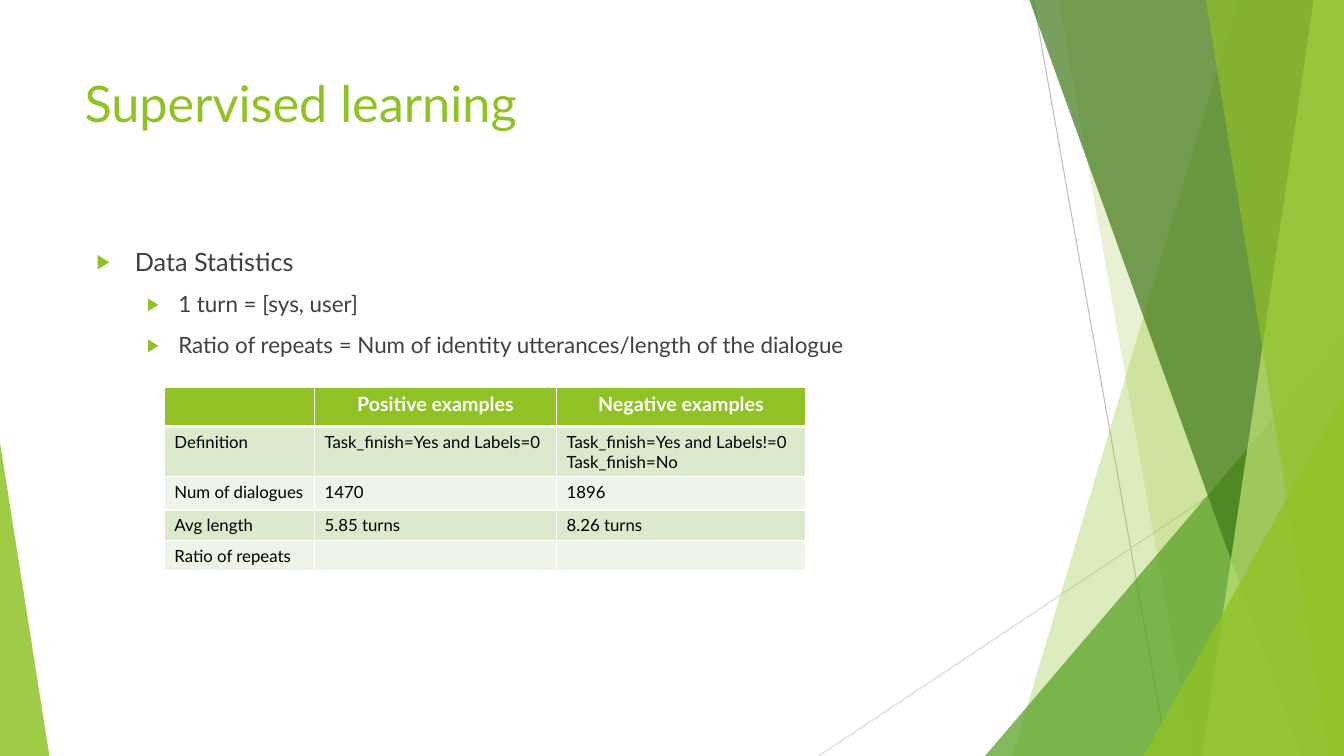
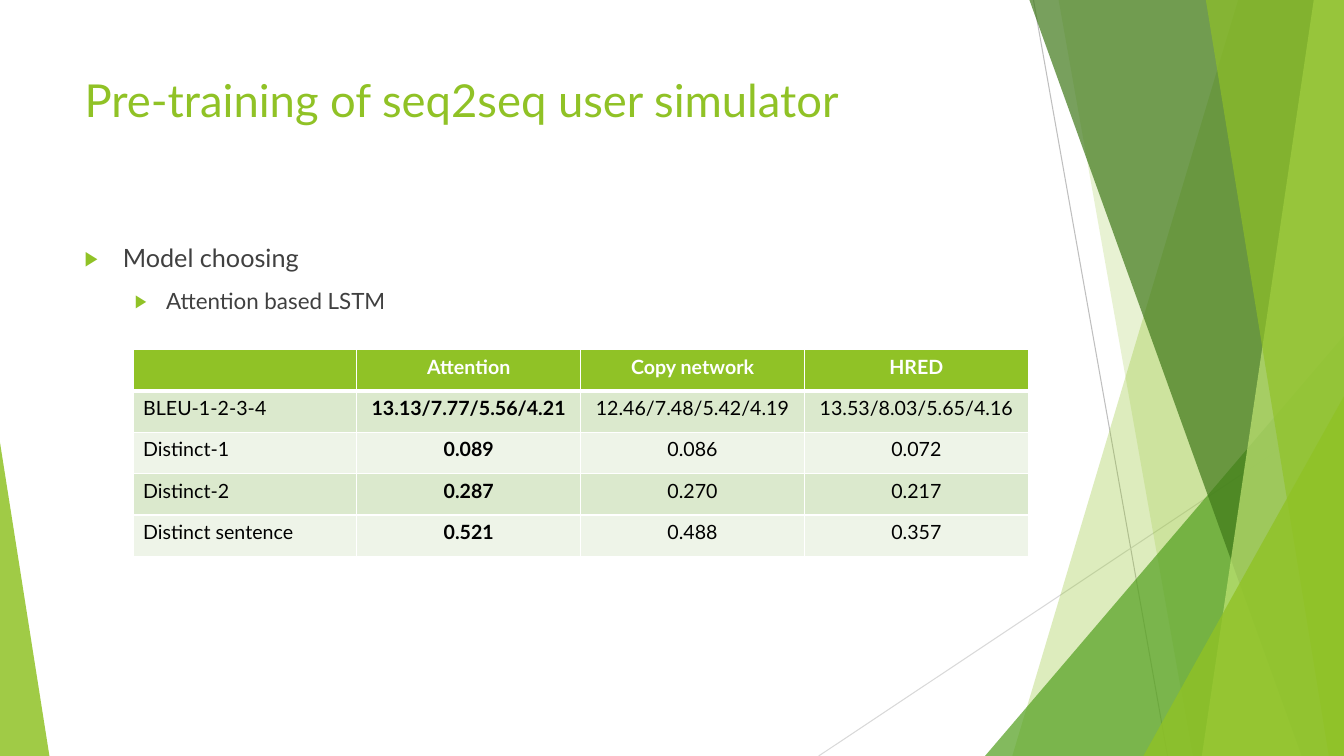
from lxml import etree
from pptx import Presentation, util as u
from pptx.dml.color import RGBColor
from pptx.enum import shapes, text
from pptx.oxml import ns

GREEN = RGBColor(0x90, 0xC2, 0x26)
MID_GREEN = RGBColor(0x54, 0xA0, 0x21)
DARK_GREEN = RGBColor(0x3F, 0x78, 0x19)
LIGHT_GREEN = RGBColor(0xC0, 0xE4, 0x74)
BAND_DARK = RGBColor(0xDB, 0xE9, 0xCD)
BAND_LIGHT = RGBColor(0xEE, 0xF4, 0xE8)
WHITE = RGBColor(0xFF, 0xFF, 0xFF)
BLACK = RGBColor(0, 0, 0)
BODY_GRAY = RGBColor(0x40, 0x40, 0x40)
STEEP_LINE = RGBColor(0xBF, 0xBF, 0xBF)
SHALLOW_LINE = RGBColor(0xD9, 0xD9, 0xD9)
FONT = "Lato"
WIDTH, HEIGHT = 13.33, 7.5


def add_xml(parent, tag, **attributes):
    """Append a DrawingML element and return it."""
    return etree.SubElement(parent, ns.qn(tag), {key: str(value) for key, value in attributes.items()})


class Deck:
    """Holds the presentation, its style and the current slide."""

    def __init__(self):
        """Open an empty widescreen presentation."""
        self.presentation = Presentation()
        self.presentation.slide_width = u.Inches(WIDTH)
        self.presentation.slide_height = u.Inches(HEIGHT)
        self.slide = None

    def new_slide(self, title, size):
        """Start a slide with the shared decoration and a title."""
        self.slide = self.presentation.slides.add_slide(self.presentation.slide_layouts[6])
        self.decoration()
        frame = self.text_box(0.74, 0.67, 9.4, 1.44)
        self.run(frame.paragraphs[0], title, size, GREEN)

    def decoration(self):
        """Draw the thin lines and the translucent green facets."""
        self.line(10.25, 0, 11.58, HEIGHT, STEEP_LINE)
        self.line(WIDTH, 4.03, 8.12, HEIGHT, SHALLOW_LINE)
        self.facet(12.28, 10.04, GREEN, 30)
        self.facet(10.5, 11.83, GREEN, 20)
        self.triangle(9.77, 3.33, 3.56, 1, MID_GREEN, 72)
        self.facet(10.21, 12.91, DARK_GREEN, 70)
        self.facet(13.03, 11.92, LIGHT_GREEN, 70)
        self.facet(11.96, 13.18, GREEN, 65)
        self.triangle(11.34, 3.93, 1.99, 1, GREEN, 80)
        self.triangle(0, 4.39, 0.49, 0, GREEN, 85)

    def line(self, x1, y1, x2, y2, color):
        """Draw a thin straight line."""
        points = [u.Inches(value) for value in (x1, y1, x2, y2)]
        connector = self.slide.shapes.add_connector(shapes.MSO_CONNECTOR.STRAIGHT, *points)
        connector.line.color.rgb = color
        connector.line.width = u.Pt(0.75)
        add_xml(connector.element.spPr, "a:effectLst")

    def facet(self, top_x, bottom_x, color, opacity):
        """Draw a full-height facet between a slanted edge and the right side."""
        corners = [(WIDTH, 0), (WIDTH, HEIGHT), (bottom_x, HEIGHT)]
        builder = self.slide.shapes.build_freeform(u.Inches(top_x), 0)
        builder.add_line_segments([(u.Inches(x), u.Inches(y)) for x, y in corners], close=True)
        self.paint(builder.convert_to_shape(), color, opacity)

    def triangle(self, left, top, width, apex, color, opacity):
        """Draw a triangle standing on the bottom edge."""
        box = [u.Inches(value) for value in (left, top, width, HEIGHT - top)]
        shape = self.slide.shapes.add_shape(shapes.MSO_SHAPE.ISOSCELES_TRIANGLE, *box)
        shape.adjustments[0] = apex
        self.paint(shape, color, opacity)

    def paint(self, shape, color, opacity):
        """Give a shape a translucent fill without line or shadow."""
        shape.shadow.inherit = False
        shape.line.fill.background()
        shape.fill.solid()
        shape.fill.fore_color.rgb = color
        color_element = shape.element.spPr.find(ns.qn("a:solidFill"))[0]
        add_xml(color_element, "a:alpha", val=opacity * 1000)

    def text_box(self, left, top, width, height):
        """Add a wrapping text box and return its frame."""
        box = [u.Inches(value) for value in (left, top, width, height)]
        frame = self.slide.shapes.add_textbox(*box).text_frame
        frame.word_wrap = True
        return frame

    def run(self, paragraph, words, size, color, bold=False):
        """Add one styled run to a paragraph."""
        run = paragraph.add_run()
        run.text = words
        run.font.name = FONT
        run.font.size = u.Pt(size)
        run.font.bold = bold
        run.font.color.rgb = color

    def bullets(self, left, top, width, heading, details):
        """Add a first-level bullet followed by second-level ones."""
        frame = self.text_box(left, top, width, 4.24)
        for index, words in enumerate([heading, *details]):
            paragraph = frame.add_paragraph() if index else frame.paragraphs[0]
            level, size, margin, hang = (1, 16, 0.81, 0.31) if index else (0, 18, 0.38, 0.38)
            paragraph.level = level
            paragraph.space_before = u.Pt(10)
            self.run(paragraph, words, size, BODY_GRAY)
            properties = paragraph._p.get_or_add_pPr()
            properties.set("marL", str(u.Inches(margin)))
            properties.set("indent", str(-u.Inches(hang)))
            add_xml(add_xml(properties, "a:buClr"), "a:srgbClr", val=GREEN)
            add_xml(properties, "a:buSzPct", val=80000)
            add_xml(properties, "a:buFont", typeface=FONT)
            add_xml(properties, "a:buChar", char="▶")

    def table(self, left, top, columns, heights, rows, size, centered=False, bold_column=None):
        """Add a banded table with a green header row."""
        box = [u.Inches(value) for value in (left, top, sum(columns), sum(heights))]
        table = self.slide.shapes.add_table(len(rows), len(columns), *box).table
        for column, width in zip(table.columns, columns):
            column.width = u.Inches(width)
        for row, height in zip(table.rows, heights):
            row.height = u.Inches(height)
        for i, row in enumerate(rows):
            for j, words in enumerate(row):
                header = i == 0
                cell = table.cell(i, j)
                self.cell_box(cell, i)
                self.cell_text(cell, words, 14 if header else size, WHITE if header else BLACK,
                               header or j == bold_column, header or (centered and j > 0))

    def cell_box(self, cell, row):
        """Set the white borders and the fill of a cell."""
        properties = cell._tc.get_or_add_tcPr()
        widths = {"L": 1, "R": 1, "T": 3 if row == 1 else 1, "B": 3 if row == 0 else 1}
        for side, width in widths.items():
            border = add_xml(properties, f"a:ln{side}", w=u.Pt(width))
            add_xml(add_xml(border, "a:solidFill"), "a:srgbClr", val=WHITE)
        cell.fill.solid()
        cell.fill.fore_color.rgb = GREEN if row == 0 else BAND_DARK if row % 2 else BAND_LIGHT

    def cell_text(self, cell, words, size, color, bold, centered):
        """Write the lines of a cell, one paragraph each."""
        for index, line in enumerate(words.split("\n")):
            frame = cell.text_frame
            paragraph = frame.add_paragraph() if index else frame.paragraphs[0]
            if centered:
                paragraph.alignment = text.PP_ALIGN.CENTER
            if line:
                self.run(paragraph, line, size, color, bold)
            else:
                add_xml(paragraph._p, "a:endParaRPr", sz=size * 100)


def main():
    """Build both slides and save them."""
    deck = Deck()

    deck.new_slide("Supervised learning", 36)
    deck.bullets(0.86, 2.39, 8.08, "Data Statistics", [
        "1 turn = [sys, user]",
        "Ratio of repeats = Num of identity utterances/length of the dialogue",
    ])
    deck.table(1.63, 3.84, [1.49, 2.4, 2.47], [0.39, 0.5, 0.33, 0.3, 0.3], [
        ["", "Positive examples", "Negative examples"],
        ["Definition", "Task_finish=Yes and Labels=0", "Task_finish=Yes and Labels!=0\nTask_finish=No"],
        ["Num of dialogues", "1470", "1896"],
        ["Avg length", "5.85 turns", "8.26 turns"],
        ["Ratio of repeats", "", ""],
    ], 12)

    deck.new_slide("Pre-training of seq2seq user simulator", 32.4)
    deck.bullets(0.74, 2.36, 9.4, "Model choosing", ["Attention based LSTM"])
    deck.table(1.32, 3.47, [2.22] * 4, [0.41] * 5, [
        ["", "Attention", "Copy network", "HRED"],
        ["BLEU-1-2-3-4", "13.13/7.77/5.56/4.21", "12.46/7.48/5.42/4.19", "13.53/8.03/5.65/4.16"],
        ["Distinct-1", "0.089", "0.086", "0.072"],
        ["Distinct-2", "0.287", "0.270", "0.217"],
        ["Distinct sentence", "0.521", "0.488", "0.357"],
    ], 14, centered=True, bold_column=1)

    deck.presentation.save("out.pptx")


if __name__ == "__main__":
    main()
